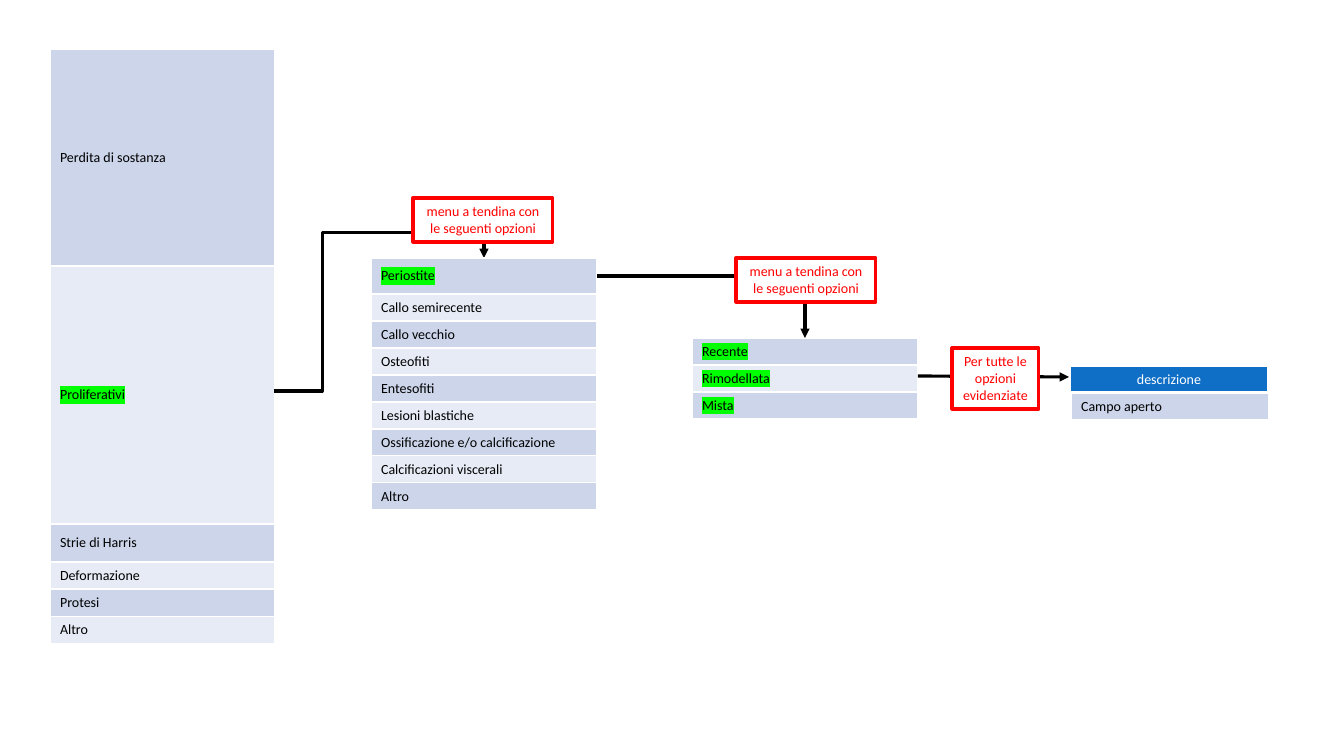
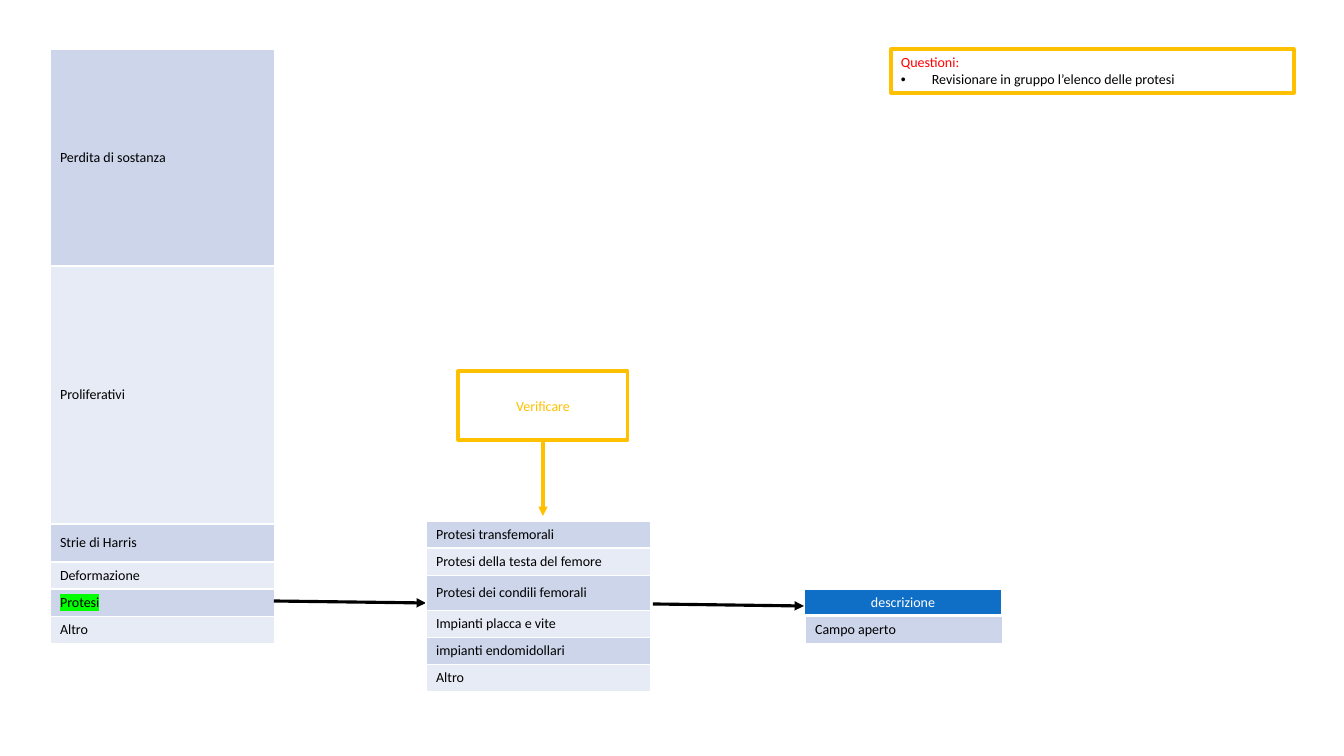
from pptx import Presentation
from pptx.dml.color import RGBColor
from pptx.enum.shapes import MSO_CONNECTOR, MSO_SHAPE
from pptx.enum.text import MSO_ANCHOR, MSO_AUTO_SIZE, PP_ALIGN
from pptx.oxml.ns import qn
from pptx.oxml.xmlchemy import OxmlElement
from pptx.util import Pt

RECTANGLE = MSO_SHAPE.RECTANGLE
STRAIGHT, ELBOW = MSO_CONNECTOR.STRAIGHT, MSO_CONNECTOR.ELBOW
TOP, MIDDLE = MSO_ANCHOR.TOP, MSO_ANCHOR.MIDDLE
LEFT, CENTER = PP_ALIGN.LEFT, PP_ALIGN.CENTER
FIXED, GROW = MSO_AUTO_SIZE.NONE, MSO_AUTO_SIZE.SHAPE_TO_FIT_TEXT
BOTTOM_SIDE = 2

BLACK = RGBColor(0x00, 0x00, 0x00)
WHITE = RGBColor(0xFF, 0xFF, 0xFF)
RED = RGBColor(0xFF, 0x00, 0x00)
AMBER = RGBColor(0xFF, 0xC0, 0x00)
BLUE = RGBColor(0x0F, 0x6F, 0xC6)
GREEN = RGBColor(0x00, 0xFF, 0x00)
BANDS = (RGBColor(0xCC, 0xD5, 0xEA), RGBColor(0xE7, 0xEB, 0xF5))

WIDTH, HEIGHT = 1344, 756
EMU_PER_PX = 12192000 / WIDTH
ROW = 27
FONT = {"name": "Calibri", "size": Pt(10)}
STROKE = Pt(2.25)
MENU_TEXT = "menu a tendina con le seguenti opzioni"


def px(length):
    return round(length * EMU_PER_PX)


def apply(target, values):
    for name, value in values.items():
        setattr(target, name, value)


def add_element(parent, tag, **attributes):
    element = OxmlElement(tag)
    for name, value in attributes.items():
        element.set(name, str(value))
    parent.append(element)
    return element


def even_rows(*texts):
    return [(text, ROW) for text in texts]


class Diagram:
    """Shared style and the slide being drawn."""

    def __init__(self):
        self.deck = Presentation()
        apply(self.deck, {"slide_width": px(WIDTH), "slide_height": px(HEIGHT)})
        self.slide = None

    def new_slide(self):
        self.slide = self.deck.slides.add_slide(self.deck.slide_layouts[6])

    def put_text(self, paragraph, text, color, align=LEFT, highlight=None):
        paragraph.alignment = align
        run = paragraph.add_run()
        run.text = text
        apply(run.font, FONT)
        run.font.color.rgb = color
        if highlight is not None:
            properties = run._r.get_or_add_rPr()
            marker = add_element(properties, "a:highlight")
            add_element(marker, "a:srgbClr", val=highlight)
            properties.find(qn("a:solidFill")).addnext(marker)

    def border(self, cell, bottom):
        properties = cell._tc.get_or_add_tcPr()
        for index, side in enumerate("LRTB"):
            width = bottom if side == "B" else 1
            line = add_element(properties, f"a:ln{side}", w=int(Pt(width)))
            fill = add_element(line, "a:solidFill")
            add_element(fill, "a:srgbClr", val=WHITE)
            properties.insert(index, line)

    def table(self, left, top, width, rows, marked=(), fills=BANDS,
              color=BLACK, align=LEFT, anchor=MIDDLE, bottom=1):
        """One column; rows are (text, height) pairs."""
        total = sum(height for _, height in rows)
        table = self.slide.shapes.add_table(
            len(rows), 1, px(left), px(top), px(width), px(total)).table
        apply(table, {"first_row": False, "horz_banding": False})
        for index, (text, height) in enumerate(rows):
            table.rows[index].height = px(height)
            cell = table.cell(index, 0)
            cell.vertical_anchor = anchor
            cell.fill.solid()
            cell.fill.fore_color.rgb = fills[index % len(fills)]
            self.border(cell, bottom)
            self.put_text(cell.text_frame.paragraphs[0], text, color, align,
                          GREEN if text in marked else None)

    def description_field(self, left, top):
        self.table(left, top, 198, even_rows("descrizione"), fills=(BLUE,),
                   color=WHITE, align=CENTER, bottom=3)
        self.table(left + 1, top + ROW, 198, even_rows("Campo aperto"),
                   anchor=TOP)

    def box(self, left, top, width, height, text, color, outline,
            fill=None, align=CENTER, anchor=TOP, fit=GROW):
        shape = self.slide.shapes.add_shape(
            RECTANGLE, px(left), px(top), px(width), px(height))
        shape.shadow.inherit = False
        if fill is None:
            shape.fill.background()
        else:
            shape.fill.solid()
            shape.fill.fore_color.rgb = fill
        shape.line.color.rgb = outline
        shape.line.width = STROKE
        apply(shape.text_frame, {"word_wrap": True, "auto_size": fit,
                                 "vertical_anchor": anchor})
        self.put_text(shape.text_frame.paragraphs[0], text, color, align)
        return shape

    def menu_label(self, left, top, width=140, height=44, text=MENU_TEXT):
        self.box(left, top, width, height, text, RED, RED, fill=WHITE)

    def bullet(self, shape, text, indent=31):
        paragraph = shape.text_frame.add_paragraph()
        properties = paragraph._p.get_or_add_pPr()
        for name, value in {"marL": indent, "indent": -indent}.items():
            properties.set(name, str(px(value)))
        add_element(properties, "a:buFont", typeface="Arial")
        add_element(properties, "a:buChar", char="•")
        self.put_text(paragraph, text, BLACK)

    def arrow(self, start, end, color=BLACK, kind=STRAIGHT):
        points = (px(length) for length in (*start, *end))
        connector = self.slide.shapes.add_connector(kind, *points)
        connector.line.color.rgb = color
        connector.line.width = STROKE
        properties = connector._element.spPr
        add_element(properties.find(qn("a:ln")), "a:tailEnd", type="triangle")
        add_element(properties, "a:effectLst")
        return connector

    def bent_arrow(self, start, end, preset, adjustments=()):
        connector = self.arrow(start, end, kind=ELBOW)
        geometry = connector._element.spPr.find(qn("a:prstGeom"))
        geometry.set("prst", preset)
        guides = geometry.find(qn("a:avLst"))
        for number, value in enumerate(adjustments, 1):
            add_element(guides, "a:gd", name=f"adj{number}",
                        fmla=f"val {value}")

    def lesion_list(self, marked):
        rows = [("Perdita di sostanza", 217), ("Proliferativi", 258),
                ("Strie di Harris", 38)]
        rows += even_rows("Deformazione", "Protesi", "Altro")
        self.table(50, 49, 225, rows, marked=(marked,))


def proliferative_slide(diagram):
    diagram.new_slide()
    diagram.lesion_list("Proliferativi")

    # Proliferative types
    diagram.bent_arrow((274, 391), (484, 258), "bentConnector4",
                       (23000, 118900))
    diagram.menu_label(413, 198)
    types = [("Periostite", 36)] + even_rows(
        "Callo semirecente", "Callo vecchio", "Osteofiti", "Entesofiti",
        "Lesioni blastiche", "Ossificazione e/o calcificazione",
        "Calcificazioni viscerali", "Altro")
    diagram.table(371, 258, 226, types, marked=("Periostite",))

    # Periostitis stages
    stages = ("Recente", "Rimodellata", "Mista")
    diagram.table(692, 338, 226, even_rows(*stages), marked=stages)
    diagram.bent_arrow((597, 276), (805, 338), "bentConnector2")
    diagram.menu_label(736, 258)

    # Free description
    diagram.description_field(1070, 366)
    diagram.arrow((918, 376), (1069, 377))
    diagram.menu_label(952, 348, 87, 61, "Per tutte le opzioni evidenziate")


def prosthesis_slide(diagram):
    diagram.new_slide()
    diagram.lesion_list("Protesi")

    # Prosthesis types
    diagram.arrow((274, 601), (426, 603))
    prostheses = even_rows("Protesi transfemorali",
                           "Protesi della testa del femore")
    prostheses += [("Protesi dei condili femorali", 35)]
    prostheses += even_rows("Impianti placca e vite",
                            "impianti endomidollari", "Altro")
    diagram.table(426, 521, 225, prostheses)

    # Free description
    diagram.description_field(804, 589)
    diagram.arrow((653, 604), (804, 606))

    # Points to review
    check = diagram.box(458, 371, 170, 69, "Verificare", AMBER, AMBER,
                        anchor=MIDDLE, fit=FIXED)
    check_arrow = diagram.arrow((543, 440), (543, 516), AMBER)
    check_arrow.begin_connect(check, BOTTOM_SIDE)
    questions = diagram.box(891, 49, 403, 44, "Questioni:", RED, AMBER,
                            align=LEFT)
    diagram.bullet(questions, "Revisionare in gruppo l’elenco delle protesi")


def main():
    diagram = Diagram()
    proliferative_slide(diagram)
    prosthesis_slide(diagram)
    diagram.deck.save("out.pptx")


if __name__ == "__main__":
    main()
